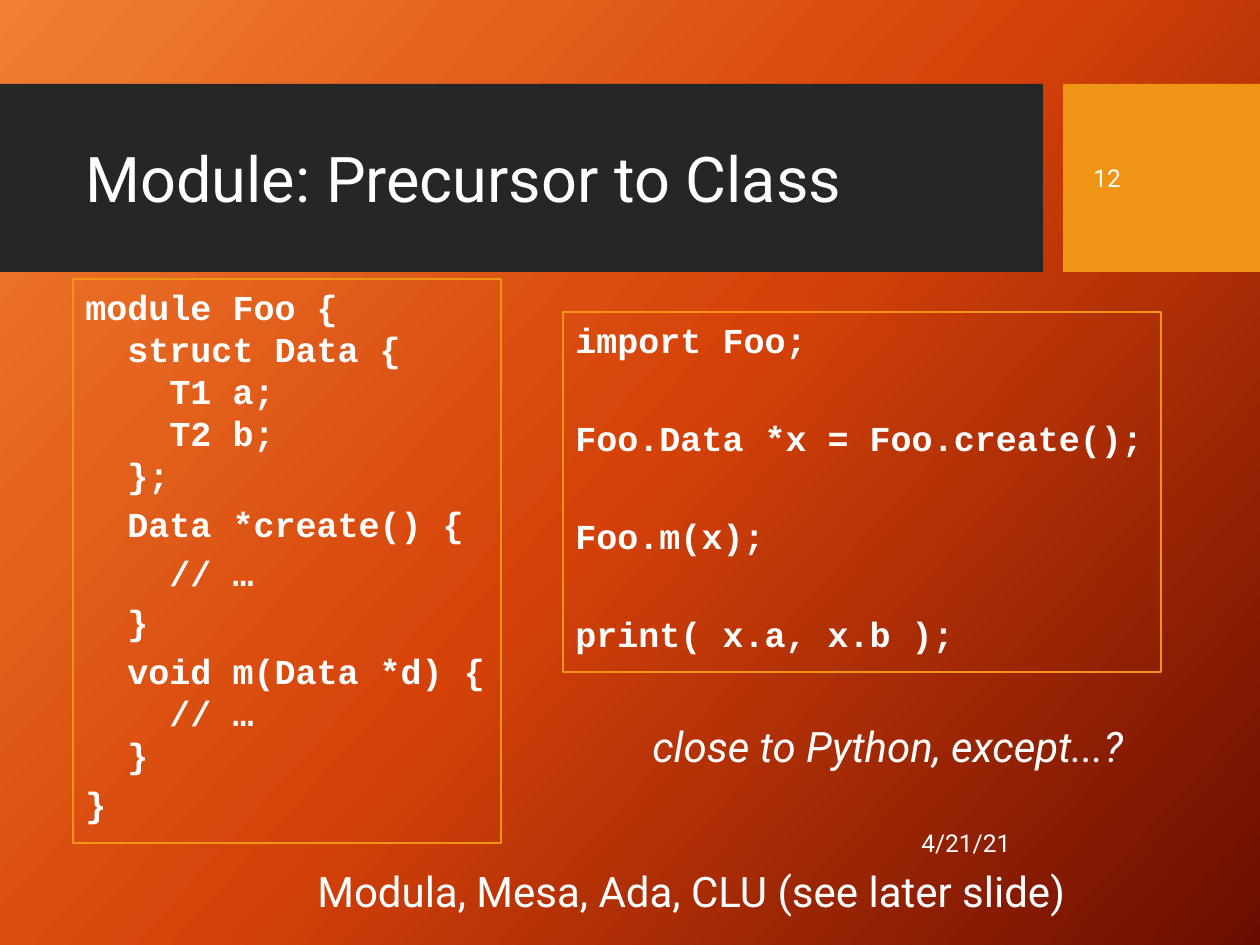
from copy import deepcopy

from pptx import Presentation
from pptx.dml.color import RGBColor
from pptx.enum.shapes import MSO_SHAPE
from pptx.enum.text import MSO_ANCHOR, PP_ALIGN
from pptx.oxml.ns import qn
from pptx.util import Emu, Pt

RECTANGLE = MSO_SHAPE.RECTANGLE
TOP, MIDDLE = MSO_ANCHOR.TOP, MSO_ANCHOR.MIDDLE
LEFT, RIGHT = PP_ALIGN.LEFT, PP_ALIGN.RIGHT

EMU_PER_PIXEL = 914400 / 126
WHITE, CHARCOAL, AMBER = "FFFFFF", "262626", "F09415"
BACKGROUND_STOPS = [(0, "F18031"), (0.5, "D54209"), (1, "6A0D00")]

MODULE_CODE = [
    "module Foo {\n  struct Data {\n    T1 a;\n    T2 b;\n  };",
    "  Data *create() {",
    "    // …",
    "  }",
    "  void m(Data *d) {\n    // …\n  }",
    "}",
]
CLIENT_CODE = ["import Foo;", "Foo.Data *x = Foo.create();", "Foo.m(x);", "print( x.a, x.b );"]


def px(length):
    return Emu(round(length * EMU_PER_PIXEL))


def color(hex_string):
    return RGBColor.from_string(hex_string)


class SlideBuilder:
    text_font = "Roboto"
    code_font = "Courier New"
    code_size = 20
    code_leading = 24
    code_gap = 4

    def __init__(self, slide):
        self.slide = slide

    def background(self, stops, angle):
        fill = self.slide.background.fill
        fill.gradient()
        fill.gradient_angle = 360 - angle
        stop_list = self.slide.element.find(".//" + qn("a:gsLst"))
        while len(stop_list) < len(stops):
            stop_list.append(deepcopy(stop_list[0]))
        for stop, (position, hex_string) in zip(fill.gradient_stops, stops):
            stop.position = position
            stop.color.rgb = color(hex_string)

    def rectangle(self, left, top, width, height, fill=None, line=None):
        shape = self.slide.shapes.add_shape(
            RECTANGLE, px(left), px(top), px(width), px(height))
        shape.shadow.inherit = False
        if fill:
            shape.fill.solid()
            shape.fill.fore_color.rgb = color(fill)
        else:
            shape.fill.background()
        if line:
            shape.line.color.rgb = color(line)
            shape.line.width = Pt(0.75)
        else:
            shape.line.fill.background()
        return shape

    def format_runs(self, paragraph, font_name, size, bold=False, italic=False):
        for run in paragraph.runs:
            run.font.name = font_name
            run.font.size = Pt(size)
            run.font.bold = bold
            run.font.italic = italic
            run.font.color.rgb = color(WHITE)

    def text(self, left, top, width, height, words, size,
             anchor=TOP, align=LEFT, italic=False):
        box = self.slide.shapes.add_textbox(px(left), px(top), px(width), px(height))
        text_frame = box.text_frame
        text_frame.word_wrap = True
        text_frame.vertical_anchor = anchor
        text_frame.text = words
        paragraph = text_frame.paragraphs[0]
        paragraph.alignment = align
        self.format_runs(paragraph, self.text_font, size, italic=italic)

    def code(self, left, top, width, height, blocks, skipped_lines=0):
        text_frame = self.rectangle(left, top, width, height, line=AMBER).text_frame
        text_frame.word_wrap = True
        text_frame.vertical_anchor = TOP
        skip = skipped_lines * (self.code_leading + self.code_gap)
        for index, block in enumerate(blocks):
            paragraph = text_frame.add_paragraph() if index else text_frame.paragraphs[0]
            paragraph.text = block
            paragraph.alignment = LEFT
            paragraph.line_spacing = Pt(self.code_leading)
            paragraph.space_before = Pt(self.code_gap + (skip if index else 0))
            self.format_runs(paragraph, self.code_font, self.code_size, bold=True)


def main():
    presentation = Presentation()
    presentation.slide_width, presentation.slide_height = px(1260), px(945)
    builder = SlideBuilder(presentation.slides.add_slide(presentation.slide_layouts[6]))
    builder.background(BACKGROUND_STOPS, 42)

    # Title band with slide number
    builder.rectangle(0, 84, 1043, 188, fill=CHARCOAL)
    builder.rectangle(1063, 84, 197, 188, fill=AMBER)
    builder.text(73, 103, 950, 149, "Module: Precursor to Class", 36, anchor=MIDDLE)
    builder.text(1081, 103, 160, 150, "12", 14, anchor=MIDDLE)

    # Module definition and its use
    builder.code(73, 279, 428, 564, MODULE_CODE)
    builder.code(563, 312, 598, 360, CLIENT_CODE, skipped_lines=1)

    # Remarks and date
    builder.text(640, 714, 519, 63, "close to Python, except...?", 24, italic=True)
    builder.text(305, 859, 784, 63, "Modula, Mesa, Ada, CLU (see later slide)", 24)
    builder.text(740, 818, 283, 50, "4/21/21", 14, anchor=MIDDLE, align=RIGHT)

    presentation.save("out.pptx")


if __name__ == "__main__":
    main()
